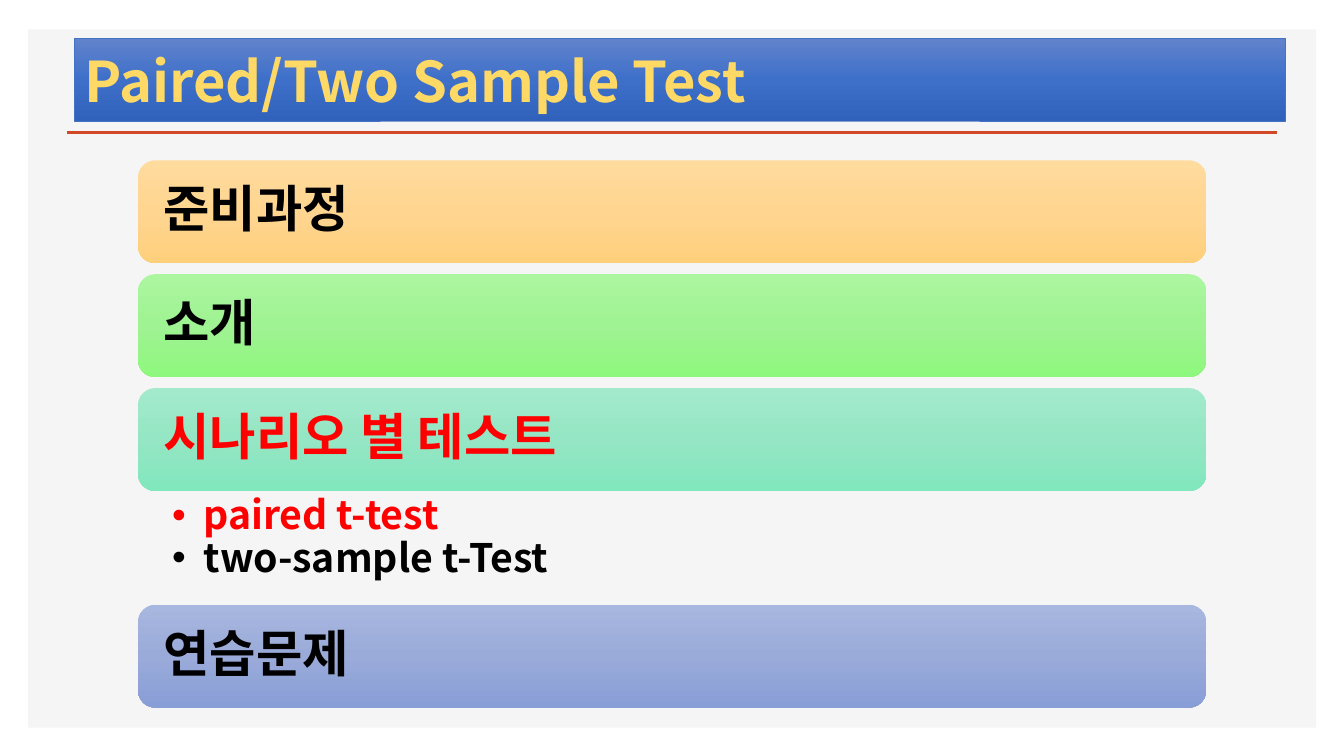
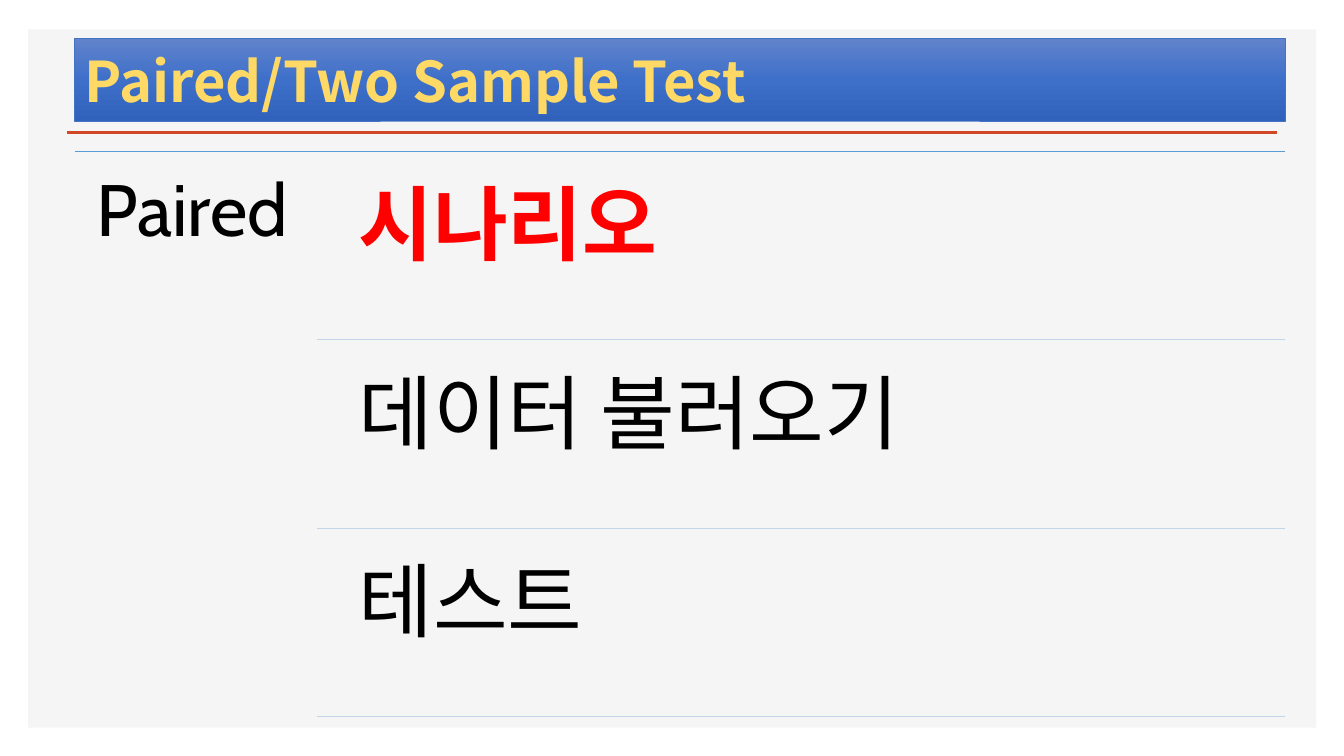
from copy import deepcopy
from dataclasses import dataclass

from lxml.etree import SubElement
from pptx import Presentation
from pptx.dml.color import RGBColor as RGB
from pptx.enum.shapes import MSO_CONNECTOR as Link, MSO_SHAPE as Preset
from pptx.enum.text import MSO_ANCHOR as Anchor, MSO_AUTO_SIZE as AutoSize, PP_ALIGN as Align
from pptx.oxml.ns import qn
from pptx.util import Cm, Pt


@dataclass(frozen=True)
class Theme:
    sans: str = "Noto Sans CJK KR"
    display: str = "Cabin"
    ink: str = "000000"
    current: str = "FF0000"
    panel: str = "F5F5F5"
    accent: str = "D24726"
    heading: str = "FFD966"
    heading_edge: str = "4472C4"
    heading_fill: tuple = ("6183CB", "3E70CA", "3062BB")
    orange: tuple = ("FFDB9E", "FFD590", "FFD07C")
    green: tuple = ("ACF6A0", "9FF392", "8EF77D")
    mint: tuple = ("A3EACC", "95E6C4", "81E7BD")
    blue: tuple = ("A8B7DF", "9AABD9", "889ED7")
    top_rule: str = "5B9BD5"
    step_rule: str = "C4D5EB"
    title_size: int = 40
    bar_size: int = 36
    list_size: int = 28
    topic_size: int = 52
    step_size: int = 58


def apply(target, values):
    for name, value in values.items():
        setattr(target, name, value)


class Deck:
    def __init__(self, theme):
        self.theme = theme
        self.prs = Presentation()
        apply(self.prs, {"slide_width": Cm(33.87), "slide_height": Cm(19.05)})
        self.slide = None

    def new_slide(self, layout, title):
        first = self.slide is None
        self.slide = self.prs.slides.add_slide(self.prs.slide_layouts[layout])
        if first:
            self.backdrop()
        t = self.theme
        heading = self.slide.shapes.title
        self.place(heading, 1.88, 0.97, 30.51, 2.08)
        self.gradient(heading, t.heading_fill)
        heading.line.color.rgb = RGB.from_string(t.heading_edge)
        heading.line.width = Pt(0.5)
        self.set_text(heading, [(title, t.heading)], t.title_size, bold=True,
                      anchor=Anchor.MIDDLE, inset=(0.25, 0.13), spacing=1.0)

    def backdrop(self):
        t = self.theme
        panel = self.box(Preset.RECTANGLE, 0.71, 0.74, 32.46, 17.6)
        panel.fill.solid()
        panel.fill.fore_color.rgb = RGB.from_string(t.panel)
        rule = self.rule(1.68, 32.18, 3.33, t.accent, 2)
        master = self.prs.slide_master.shapes.element
        for offset, part in enumerate((panel, rule)):
            part.element.xpath(".//p:cNvPr")[0].set("id", str(100 + offset))
            master.insert(2 + offset, part.element)

    def place(self, shape, left, top, width, height):
        apply(shape, {"left": Cm(left), "top": Cm(top), "width": Cm(width), "height": Cm(height)})

    def box(self, preset, left, top, width, height):
        shape = self.slide.shapes.add_shape(preset, Cm(left), Cm(top), Cm(width), Cm(height))
        shape.shadow.inherit = False
        shape.line.fill.background()
        return shape

    def rule(self, start, end, y, color, weight=1):
        line = self.slide.shapes.add_connector(Link.STRAIGHT, Cm(start), Cm(y), Cm(end), Cm(y))
        line.line.color.rgb = RGB.from_string(color)
        line.line.width = Pt(weight)
        SubElement(line.element.spPr, qn("a:effectLst"))
        return line

    def gradient(self, shape, colors):
        fill = shape.fill
        fill.gradient()
        fill.gradient_angle = 270
        stops = shape.element.spPr.find(".//" + qn("a:gsLst"))
        stops.append(deepcopy(stops[0]))
        for stop, position, color in zip(fill.gradient_stops, (0, 0.5, 1), colors):
            stop.color.rgb = RGB.from_string(color)
            stop.position = position

    def set_text(self, shape, lines, size, font=None, bold=False, anchor=Anchor.TOP,
                 inset=(0.5, 0.5), spacing=0.9, hanging=None):
        frame = shape.text_frame
        side, edge = (Cm(length) for length in inset)
        apply(frame, {"word_wrap": True, "auto_size": AutoSize.NONE, "vertical_anchor": anchor,
                      "margin_left": side, "margin_right": side,
                      "margin_top": edge, "margin_bottom": edge})
        frame.text = "\n".join(text for text, _ in lines)
        for paragraph, (_, color) in zip(frame.paragraphs, lines):
            apply(paragraph, {"alignment": Align.LEFT, "line_spacing": spacing,
                              "space_before": Pt(0), "space_after": Pt(0)})
            if hanging:
                props = paragraph._p.get_or_add_pPr()
                props.set("marL", str(Cm(hanging)))
                props.set("indent", str(-Cm(hanging)))
            run = paragraph.runs[0]
            apply(run.font, {"size": Pt(size), "bold": bold, "name": font or self.theme.sans})
            run.font.color.rgb = RGB.from_string(color)
            SubElement(run._r.get_or_add_rPr(), qn("a:ea"), typeface=self.theme.sans)

    def bar(self, text, top, height, colors, color):
        bar = self.box(Preset.ROUNDED_RECTANGLE, 3.48, top, 26.92, height)
        self.gradient(bar, colors)
        self.set_text(bar, [(text, color)], self.theme.bar_size, bold=True,
                      anchor=Anchor.MIDDLE, inset=(0.51, 0.51))

    def bullets(self, lines, top, height):
        body = self.slide.placeholders[1]
        self.place(body, 3.48, top, 26.92, height)
        self.set_text(body, lines, self.theme.list_size, bold=True,
                      inset=(0.86, 0.13), hanging=0.79)

    def label(self, text, area, size, color, inset, bold=False):
        label = self.slide.shapes.add_textbox(*(Cm(length) for length in area))
        self.set_text(label, [(text, color)], size, self.theme.display, bold,
                      inset=(inset, inset))

    def save(self):
        self.prs.save("out.pptx")


def agenda(deck, title):
    t = deck.theme
    deck.new_slide(1, title)
    height, gap, list_height = 2.59, 0.28, 2.87
    tests = [("paired t-test", t.current), ("two-sample t-Test", t.ink)]
    sections = [
        ("준비과정", t.orange, t.ink, None),
        ("소개", t.green, t.ink, None),
        ("시나리오 별 테스트", t.mint, t.current, tests),
        ("연습문제", t.blue, t.ink, None),
    ]
    top = 4.04
    for name, colors, color, items in sections:
        deck.bar(name, top, height, colors, color)
        top += height
        if items:
            deck.bullets(items, top, list_height)
            top += list_height
        else:
            top += gap


def paired_steps(deck, title):
    t = deck.theme
    deck.new_slide(5, title)
    left, right, top = 1.88, 32.39, 3.81
    height, gap = 4.52, 0.23
    deck.rule(left, right, top, t.top_rule)
    deck.label("Paired", (left, top, 6.1, 14.45), t.topic_size, t.ink, 0.56)
    steps = [("시나리오", True), ("데이터 불러오기", False), ("테스트", False)]
    for row, (step, current) in enumerate(steps):
        step_top = top + gap + row * (height + gap)
        deck.label(step, (8.43, step_top, 23.95, height), t.step_size,
                   t.current if current else t.ink, 0.61, current)
        deck.rule(7.98, right, step_top + height, t.step_rule)


def main():
    deck = Deck(Theme())
    title = "Paired/Two Sample Test"
    agenda(deck, title)
    paired_steps(deck, title)
    deck.save()


if __name__ == "__main__":
    main()
